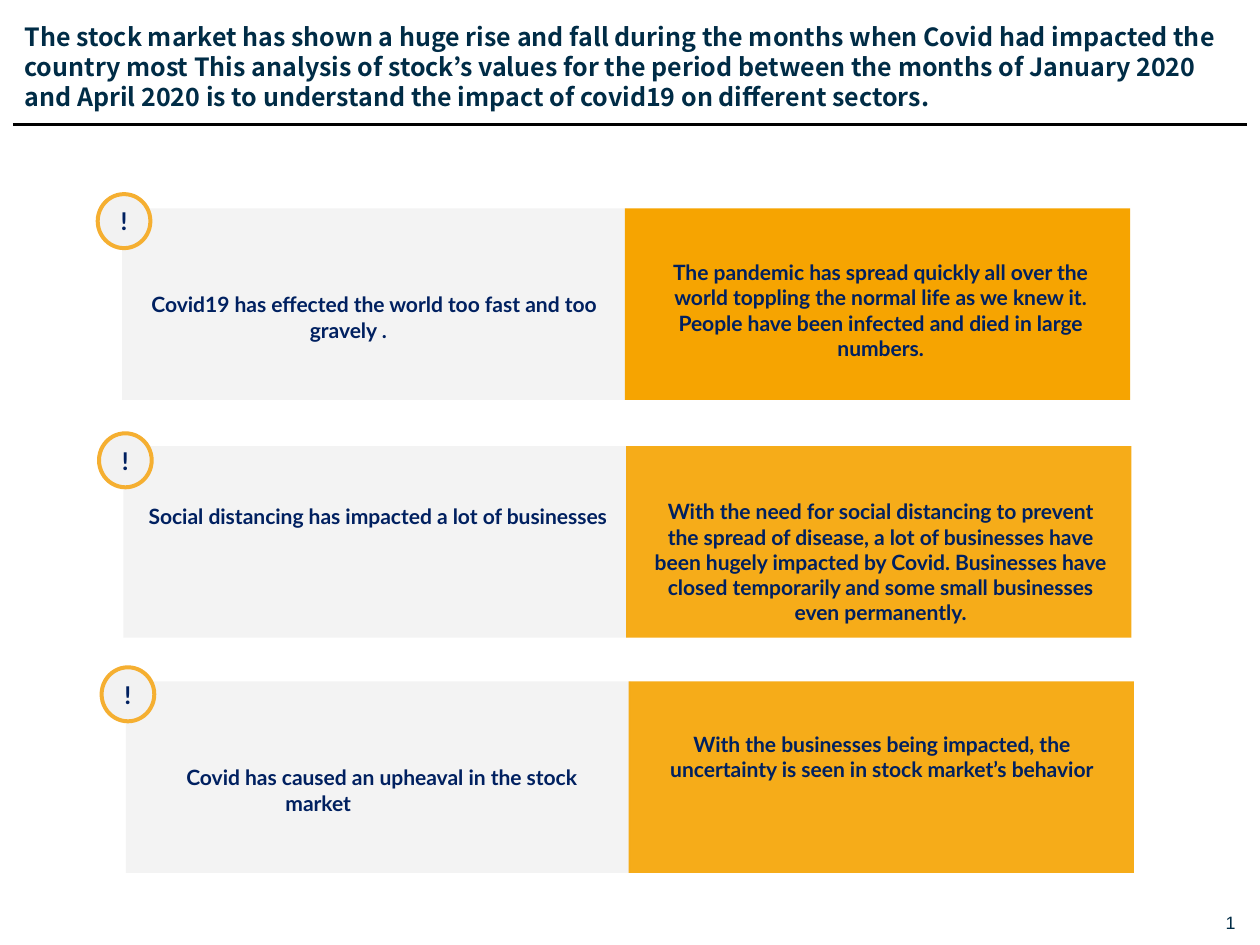
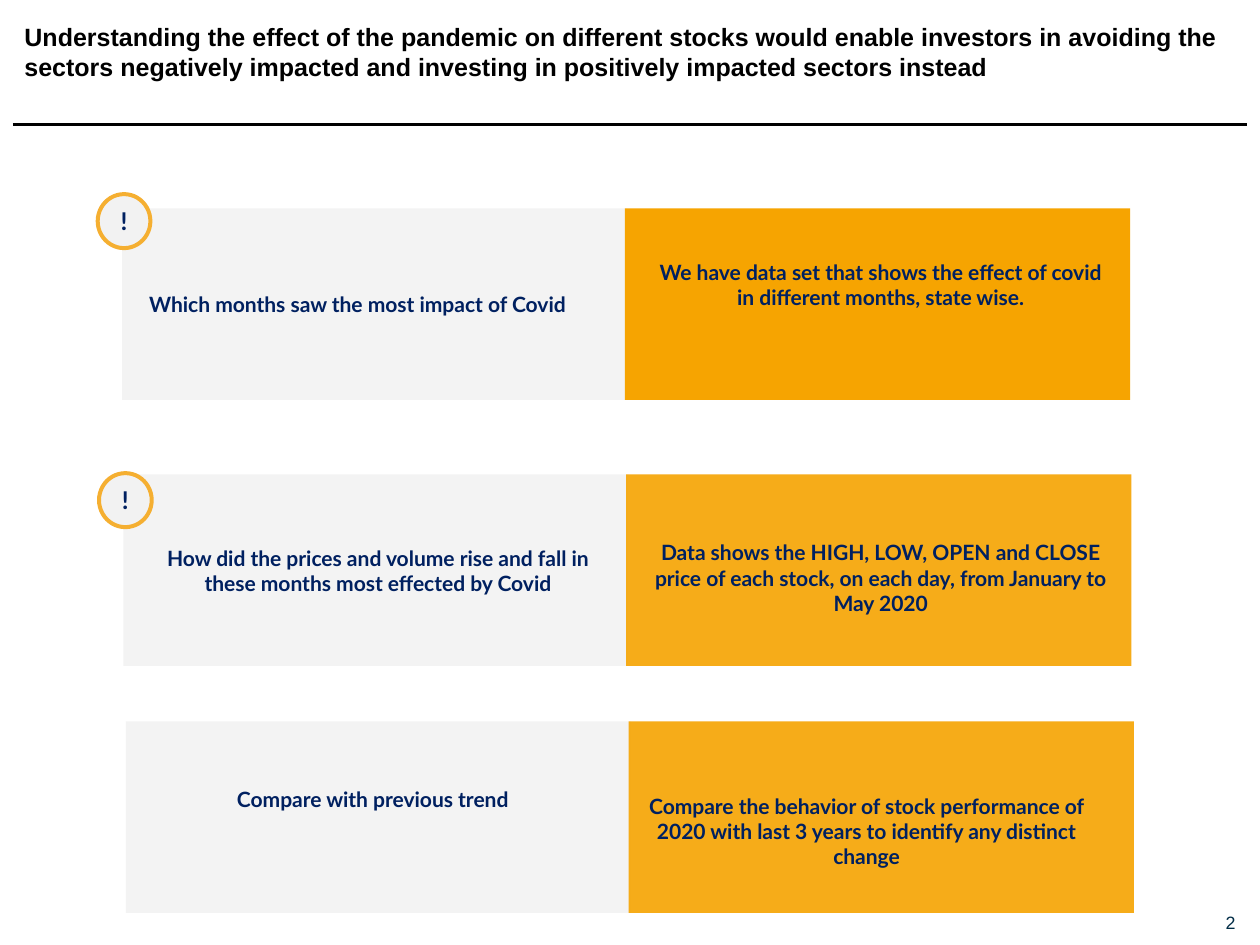
import pptx
import pptx.dml.color
import pptx.enum.shapes
import pptx.enum.text
import pptx.oxml.ns
import pptx.util
from dataclasses import dataclass
from lxml import etree

Inches = pptx.util.Inches
Pt = pptx.util.Pt
RGBColor = pptx.dml.color.RGBColor
ShapeKind = pptx.enum.shapes.MSO_SHAPE
Align = pptx.enum.text.PP_ALIGN
Anchor = pptx.enum.text.MSO_ANCHOR
AutoSize = pptx.enum.text.MSO_AUTO_SIZE
qn = pptx.oxml.ns.qn

# Colours and fonts
BLACK = RGBColor(0x00, 0x00, 0x00)
DARK_TEAL = RGBColor(0x00, 0x2C, 0x46)
NAVY = RGBColor(0x00, 0x20, 0x60)
PALE_GREY = RGBColor(0xF2, 0xF2, 0xF2)
AMBER = RGBColor(0xF6, 0xA4, 0x01)
BADGE_RING = RGBColor(0xF5, 0xAF, 0x31)
BODY_FONT = "Lato"
NUMBER_FONT = "Arial"

# Row geometry in inches
PANEL_WIDTH, PANEL_HEIGHT = 3.93, 1.49
ANSWER_OFFSET = 3.91
BADGE_OFFSET = -0.19
BADGE_WIDTH, BADGE_HEIGHT = 0.41, 0.42
TEXT_WIDTH = 3.78


@dataclass
class Row:
    left: float
    top: float
    statement: tuple  # left, top, height, text
    answer: tuple  # left, top, height, text
    badge_top: float = None
    answer_opacity: int = 90


def style_run(run, font, size, color, bold=True):
    run.font.name = font
    run.font.size = Pt(size)
    run.font.bold = bold
    run.font.color.rgb = color


def add_text(slide, box, text, font, size, color, align, margins=(0, 0), spacing=None):
    shape = slide.shapes.add_textbox(*map(Inches, box))
    frame = shape.text_frame
    frame.word_wrap = True
    frame.auto_size = AutoSize.SHAPE_TO_FIT_TEXT
    frame.margin_left = frame.margin_right = Inches(margins[0])
    frame.margin_top = frame.margin_bottom = Inches(margins[1])
    paragraph = frame.paragraphs[0]
    paragraph.alignment = align
    if spacing:
        paragraph.line_spacing = Pt(spacing)
    run = paragraph.add_run()
    run.text = text
    style_run(run, font, size, color)
    return shape


def add_filled_shape(slide, kind, box, color, opacity=100):
    shape = slide.shapes.add_shape(kind, *map(Inches, box))
    shape.shadow.inherit = False
    shape.fill.solid()
    shape.fill.fore_color.rgb = color
    shape.line.fill.background()
    if opacity < 100:
        fill_color = shape._element.spPr.find(qn("a:solidFill")).find(qn("a:srgbClr"))
        etree.SubElement(fill_color, qn("a:alpha"), val=str(opacity * 1000))
    return shape


def add_badge(slide, left, top):
    badge = add_filled_shape(
        slide, ShapeKind.OVAL, (left, top, BADGE_WIDTH, BADGE_HEIGHT), PALE_GREY)
    badge.line.color.rgb = BADGE_RING
    badge.line.width = Pt(2.25)
    badge.text_frame.vertical_anchor = Anchor.MIDDLE
    paragraph = badge.text_frame.paragraphs[0]
    paragraph.alignment = Align.CENTER
    run = paragraph.add_run()
    run.text = "!"
    style_run(run, BODY_FONT, 13.7, NAVY)


def add_row(slide, row):
    panels = (
        (row.left, PALE_GREY, 85, row.statement),
        (row.left + ANSWER_OFFSET, AMBER, row.answer_opacity, row.answer),
    )
    for panel_left, color, opacity, (left, top, height, text) in panels:
        panel_box = (panel_left, row.top, PANEL_WIDTH, PANEL_HEIGHT)
        add_filled_shape(slide, ShapeKind.RECTANGLE, panel_box, color, opacity)
        add_text(slide, (left, top, TEXT_WIDTH, height), text,
                 BODY_FONT, 11.8, NAVY, Align.CENTER, margins=(0.1, 0.05))
    if row.badge_top is not None:
        add_badge(slide, row.left + BADGE_OFFSET, row.badge_top)


def add_slide_number(slide, number):
    shape = add_text(slide, (9.44, 7.09, 0.17, 0.17), str(number),
                     NUMBER_FONT, 10, DARK_TEAL, Align.RIGHT)
    shape.text_frame.vertical_anchor = Anchor.MIDDLE
    run = shape.text_frame.paragraphs[0].runs[0]
    run.font.bold = False
    # Turn the run into a live slide number field
    element = run._r
    field = etree.Element(
        qn("a:fld"), id="{B6F15528-21DE-4FAA-801E-634DDDAF4B2B}", type="slidenum")
    element.getparent().replace(element, field)
    field.extend(list(element))


def add_frame(slide, number, title, title_font, title_color):
    """Title, rule and slide number shared by every slide."""
    rule = slide.shapes.add_connector(
        pptx.enum.shapes.MSO_CONNECTOR.STRAIGHT,
        Inches(0.1), Inches(0.97), Inches(9.7), Inches(0.97))
    rule.line.color.rgb = BLACK
    rule.line.width = Pt(2)
    etree.SubElement(rule._element.spPr, qn("a:effectLst"))
    add_slide_number(slide, number)
    add_text(slide, (0.19, 0.17, 9.43, 0.7), title, title_font, 14, title_color,
             Align.LEFT, spacing=16.8)


# Slide content
SLIDES = (
    (
        "The stock market has shown a huge rise and fall during the months when Covid "
        "had impacted the country most This analysis of stock’s values for the period "
        "between the months of January 2020 and April 2020 is to understand the impact "
        "of covid19 on different sectors.",
        "Noto Sans CJK KR", DARK_TEAL,
        (
            Row(0.95, 1.62,
                (1.02, 2.22, 0.5,
                 "Covid19 has effected the world too fast and too gravely .\t"),
                (4.96, 1.97, 0.89,
                 "The pandemic has spread quickly all over the world toppling the normal "
                 "life as we knew it. People have been infected and died in large numbers."),
                badge_top=1.51, answer_opacity=100),
            Row(0.96, 3.47,
                (1.05, 3.87, 0.3, "Social distancing has impacted a lot of businesses"),
                (4.96, 3.83, 1.09,
                 "With the need for social distancing to prevent the spread of disease, a "
                 "lot of businesses have been hugely impacted by Covid. Businesses have "
                 "closed temporarily and some small businesses even permanently."),
                badge_top=3.37),
            Row(0.98, 5.3,
                (1.08, 5.9, 0.5, "Covid has caused an upheaval in the stock market\t\t"),
                (4.97, 5.64, 0.5,
                 "With the businesses being impacted, the uncertainty is seen in stock "
                 "market’s behavior"),
                badge_top=5.19),
        ),
    ),
    (
        "Understanding the effect of the pandemic on different stocks would enable "
        "investors in avoiding the sectors negatively impacted and investing in "
        "positively impacted sectors instead",
        "Arial", BLACK,
        (
            Row(0.95, 1.62,
                (1.02, 2.22, 0.3, "Which months saw the most impact of Covid\t"),
                (4.96, 1.97, 0.5,
                 "We have data set that shows the effect of covid in different months, "
                 "state wise."),
                badge_top=1.51, answer_opacity=100),
            Row(0.96, 3.69,
                (1.05, 4.19, 0.5,
                 "How did the prices and volume rise and fall in these months most "
                 "effected by Covid"),
                (4.96, 4.15, 0.69,
                 "Data shows the HIGH, LOW, OPEN and CLOSE price of each stock, on each "
                 "day, from January to May 2020"),
                badge_top=3.68),
            Row(0.98, 5.61,
                (1.01, 6.07, 0.3, "Compare with previous trend"),
                (4.85, 6.12, 0.69,
                 "Compare the behavior of stock performance of 2020 with last 3 years to "
                 "identify any distinct change")),
        ),
    ),
)


def main():
    presentation = pptx.Presentation()
    presentation.slide_width = Inches(9.8)
    presentation.slide_height = Inches(7.35)
    blank_layout = presentation.slide_layouts[6]
    for number, (title, title_font, title_color, rows) in enumerate(SLIDES, 1):
        slide = presentation.slides.add_slide(blank_layout)
        add_frame(slide, number, title, title_font, title_color)
        for row in rows:
            add_row(slide, row)
    presentation.save("out.pptx")


if __name__ == "__main__":
    main()
